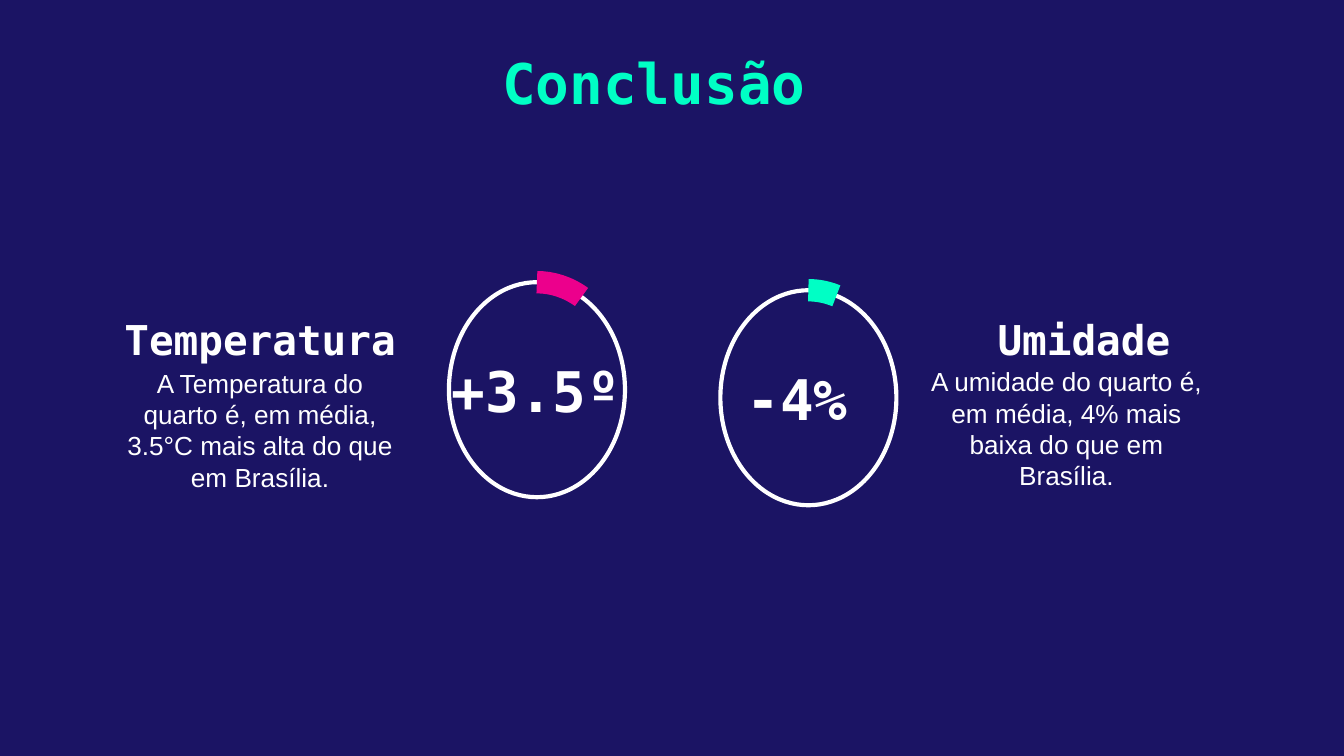
from pptx import Presentation
from pptx.dml.color import RGBColor
from pptx.enum.shapes import MSO_SHAPE
from pptx.enum.text import MSO_ANCHOR, PP_ALIGN
from pptx.util import Inches, Pt

OVAL, ARC = MSO_SHAPE.OVAL, MSO_SHAPE.ARC
TOP, MIDDLE, BOTTOM = MSO_ANCHOR.TOP, MSO_ANCHOR.MIDDLE, MSO_ANCHOR.BOTTOM
CENTER = PP_ALIGN.CENTER
MONO, SANS = "DejaVu Sans Mono", "Arial"
NAVY, WHITE, MINT, PINK = "1B1464", "FFFFFF", "00FFC5", "EC008C"

prs = Presentation()
prs.slide_width = Inches(10)
prs.slide_height = prs.slide_width * 9 // 16
s = prs.slides.add_slide(prs.slide_layouts[6])
s.background.fill.solid()
s.background.fill.fore_color.rgb = RGBColor.from_string(NAVY)


def add_text(text, box, size, font=MONO, color=WHITE, anchor=MIDDLE, inset=0.1):
    tf = s.shapes.add_textbox(*map(Inches, box)).text_frame
    tf.word_wrap = True
    tf.vertical_anchor = anchor
    tf.margin_left = tf.margin_right = Inches(0.1)
    tf.margin_top = tf.margin_bottom = Inches(inset)
    p = tf.paragraphs[0]
    p.text = text
    p.alignment = CENTER
    r = p.runs[0]
    r.font.name, r.font.size, r.font.bold = font, Pt(size), font == MONO
    r.font.color.rgb = RGBColor.from_string(color)


def add_ring(kind, left, top, color, width):
    sp = s.shapes.add_shape(kind, Inches(left), Inches(top), Inches(1.31), Inches(1.6))
    sp.shadow.inherit = False
    sp.fill.background()
    sp.line.color.rgb = RGBColor.from_string(color)
    sp.line.width = Pt(width)
    return sp


add_text("Conclusão", (0.65, 0.25, 8.43, 0.73), 30, color=MINT)

gauges = [
    (3.34, 2.1, PINK, 295.69, "+3.5º", (3.16, 2.52, 1.66, 0.77),
     "Temperatura", 0.79, "A Temperatura do quarto é, em média, 3.5°C mais alta do que em Brasília.", (0.79, 2.63)),
    (5.36, 2.16, MINT, 285.36, "-4%", (5.15, 2.52, 1.56, 0.89),
     "Umidade", 6.92, "A umidade do quarto é, em média, 4% mais baixa do que em Brasília.", (6.79, 2.62)),
]
for left, top, color, end, value, value_box, heading, heading_left, body, body_at in gauges:
    add_ring(OVAL, left, top, WHITE, 2.25)
    arc = add_ring(ARC, left, top, color, 12)
    for i, degrees in enumerate((270, end)):
        arc.adjustments[i] = degrees * 0.6
    add_text(body, (*body_at, 2.29, 0.89), 14, font=SANS, anchor=TOP)
    add_text(heading, (heading_left, 2.1, 2.29, 0.71), 22, anchor=BOTTOM)
    add_text(value, value_box, 30, inset=0)

prs.save("out.pptx")
